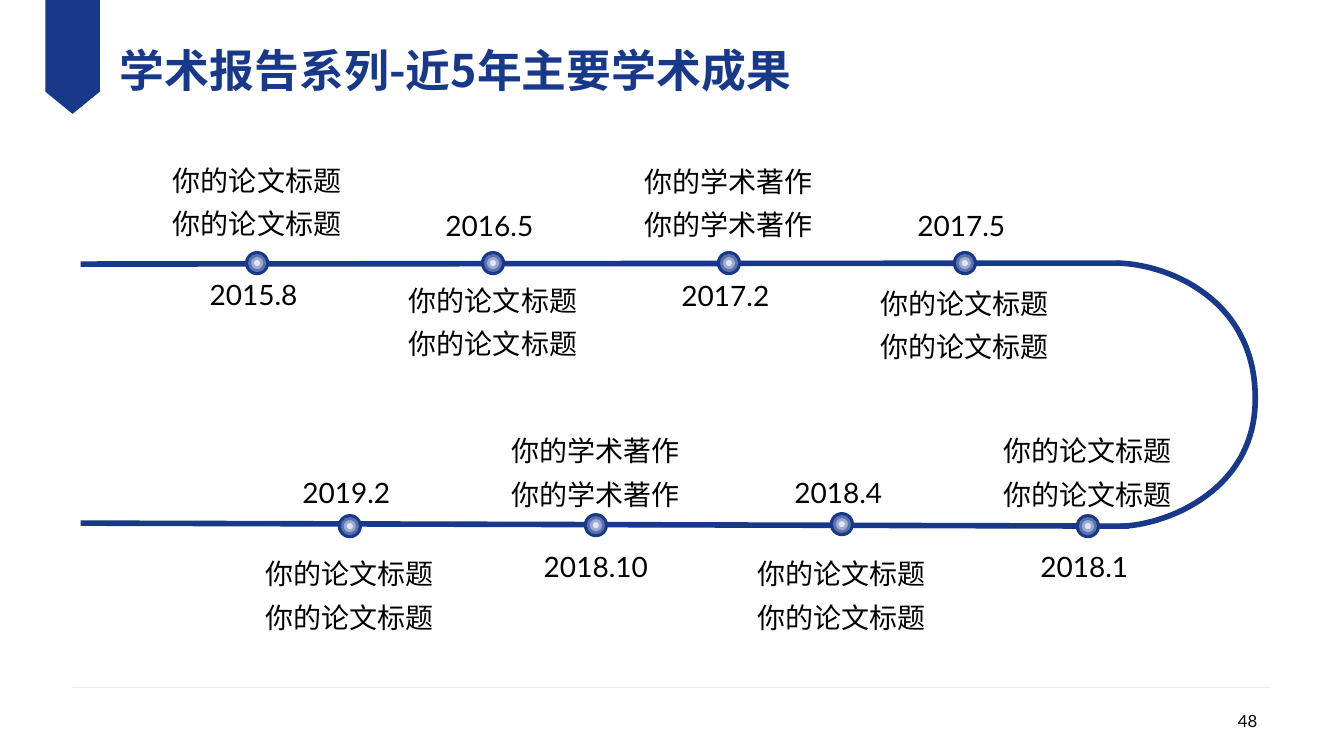
from dataclasses import dataclass

from lxml import etree
from pptx import Presentation
from pptx.dml.color import RGBColor
from pptx.enum import shapes as shape_enum, text as text_enum
from pptx.oxml import ns
from pptx.util import Emu, Inches, Pt

NAVY = "18388A"
BLACK = "000000"
LATIN_FONT = "Lato"
CHINESE_FONT = "Noto Sans CJK SC"
PAPER = "你的论文标题"
BOOK = "你的学术著作"
DATE_SIZE = (1.28, 0.4)
WORK_SIZE = (1.97, 0.95)
RINGS = ((0.24, NAVY), (0.18, "5A71AD"), (0.12, "9CABD0"), (0.06, "DEE5F3"))


@dataclass(frozen=True)
class Style:
    size: float = 20
    color: str = BLACK
    font: str = LATIN_FONT
    bold: bool = False
    align: text_enum.PP_ALIGN = text_enum.PP_ALIGN.CENTER
    anchor: text_enum.MSO_ANCHOR = text_enum.MSO_ANCHOR.MIDDLE
    spacing: float = 1.0
    inset: tuple[float, float] = (0.1, 0.05)


@dataclass(frozen=True)
class Milestone:
    date: str
    work: str
    node_y: float
    date_top: float
    work_top: float
    date_spacing: float = 1.0


@dataclass(frozen=True)
class Row:
    first_x: float
    step: float
    milestones: tuple[Milestone, ...]


ROWS = (
    Row(2.55, 2.34, (
        Milestone("2015.8", PAPER, 2.61, 2.72, 1.47),
        Milestone("2016.5", PAPER, 2.61, 2.04, 2.66),
        Milestone("2017.2", BOOK, 2.61, 2.73, 1.48),
        Milestone("2017.5", PAPER, 2.61, 2.04, 2.69),
    )),
    Row(3.47, 2.44, (
        Milestone("2019.2", PAPER, 5.22, 4.68, 5.37),
        Milestone("2018.10", BOOK, 5.21, 5.37, 4.15, 1.3),
        Milestone("2018.4", PAPER, 5.2, 4.68, 5.37),
        Milestone("2018.1", PAPER, 5.22, 5.37, 4.15, 1.3),
    )),
)
BEND = (
    ((11.08, 2.61), (11.59, 2.62), (12.44, 2.97), (12.45, 3.93)),
    ((12.45, 3.93), (12.47, 4.89), (11.52, 5.22), (11.11, 5.22)),
)
RIBBON = ((0.45, 0), (0.99, 0), (0.99, 0.91), (0.72, 1.13), (0.45, 0.91))


def rgb(color: str) -> RGBColor:
    return RGBColor.from_string(color)


def add_text(parent, left: float, top: float, size: tuple[float, float],
             lines: tuple[str, ...], style: Style) -> None:
    box = parent.add_textbox(Inches(left), Inches(top), *map(Inches, size))
    frame = box.text_frame
    frame.word_wrap = True
    frame.vertical_anchor = style.anchor
    frame.margin_left = frame.margin_right = Inches(style.inset[0])
    frame.margin_top = frame.margin_bottom = Inches(style.inset[1])
    frame.text = "\n".join(lines)
    for paragraph in frame.paragraphs:
        paragraph.alignment = style.align
        paragraph.line_spacing = style.spacing
        font = paragraph.font
        font.size = Pt(style.size)
        font.bold = style.bold
        font.name = style.font
        font.color.rgb = rgb(style.color)
        for run in paragraph.runs:
            east_asian = etree.SubElement(run.font._element, ns.qn("a:ea"))
            east_asian.set("typeface", CHINESE_FONT)


def add_line(parent, start: tuple[float, float], end: tuple[float, float],
             color: str, width: float, opacity: int = 100) -> None:
    line = parent.add_connector(shape_enum.MSO_CONNECTOR.STRAIGHT,
                                *map(Inches, start + end))
    line.line.color.rgb = rgb(color)
    line.line.width = Pt(width)
    properties = line._element.spPr
    etree.SubElement(properties, ns.qn("a:effectLst"))
    if opacity < 100:
        fill = properties.find(".//" + ns.qn("a:srgbClr"))
        etree.SubElement(fill, ns.qn("a:alpha")).set("val", str(opacity * 1000))


def add_outline(parent, points: list[tuple[float, float]], closed: bool):
    corners = [(Inches(x), Inches(y)) for x, y in points]
    builder = parent.build_freeform(*corners[0], scale=1.0)
    builder.add_line_segments(corners[1:], close=closed)
    outline = builder.convert_to_shape(Emu(0), Emu(0))
    outline.shadow.inherit = False
    return outline


def bezier_points(curve: tuple, steps: int = 40) -> list[tuple[float, float]]:
    points = []
    for step in range(steps + 1):
        t = step / steps
        weights = ((1 - t) ** 3, 3 * t * (1 - t) ** 2, 3 * t * t * (1 - t), t ** 3)
        points.append(tuple(sum(w * p[axis] for w, p in zip(weights, curve))
                            for axis in (0, 1)))
    return points


def add_milestone(parent, x: float, milestone: Milestone) -> None:
    group = parent.add_group_shape().shapes
    add_text(group, x - DATE_SIZE[0] / 2, milestone.date_top, DATE_SIZE,
             (milestone.date + " ",), Style(spacing=milestone.date_spacing))
    add_text(group, x - WORK_SIZE[0] / 2, milestone.work_top, WORK_SIZE,
             (milestone.work,) * 2,
             Style(anchor=text_enum.MSO_ANCHOR.TOP, spacing=1.3))
    for diameter, color in RINGS:
        ring = group.add_shape(
            shape_enum.MSO_SHAPE.OVAL, Inches(x - diameter / 2),
            Inches(milestone.node_y - diameter / 2),
            Inches(diameter), Inches(diameter))
        ring.shadow.inherit = False
        ring.fill.solid()
        ring.fill.fore_color.rgb = rgb(color)
        ring.line.fill.background()


def main() -> None:
    presentation = Presentation()
    presentation.slide_width = Inches(13.33)
    presentation.slide_height = Inches(7.5)
    slide = presentation.slides.add_slide(presentation.slide_layouts[6])
    canvas = slide.shapes

    add_line(canvas, (0.72, 6.82), (12.6, 6.82), "BFBFBF", 0.25, opacity=47)
    ribbon = add_outline(canvas, list(RIBBON), closed=True)
    ribbon.fill.solid()
    ribbon.fill.fore_color.rgb = rgb(NAVY)
    ribbon.line.fill.background()

    add_text(canvas, 1.19, 0.26, (8.93, 0.86), ("学术报告系列-近5年主要学术成果",),
             Style(32, NAVY, CHINESE_FONT, True, text_enum.PP_ALIGN.LEFT, inset=(0, 0)))
    add_text(canvas, 9.57, 6.95, (3, 0.4), ("48",),
             Style(12, align=text_enum.PP_ALIGN.RIGHT))

    add_line(canvas, (0.8, 2.62), (11.1, 2.61), NAVY, 4)
    add_line(canvas, (0.8, 5.19), (11.2, 5.22), NAVY, 4)
    upper, lower = map(bezier_points, BEND)
    bend = add_outline(canvas, upper + lower[1:], closed=False)
    bend.fill.background()
    bend.line.color.rgb = rgb(NAVY)
    bend.line.width = Pt(4)

    for row in ROWS:
        for index, milestone in enumerate(row.milestones):
            add_milestone(canvas, row.first_x + index * row.step, milestone)

    presentation.save("out.pptx")


if __name__ == "__main__":
    main()
